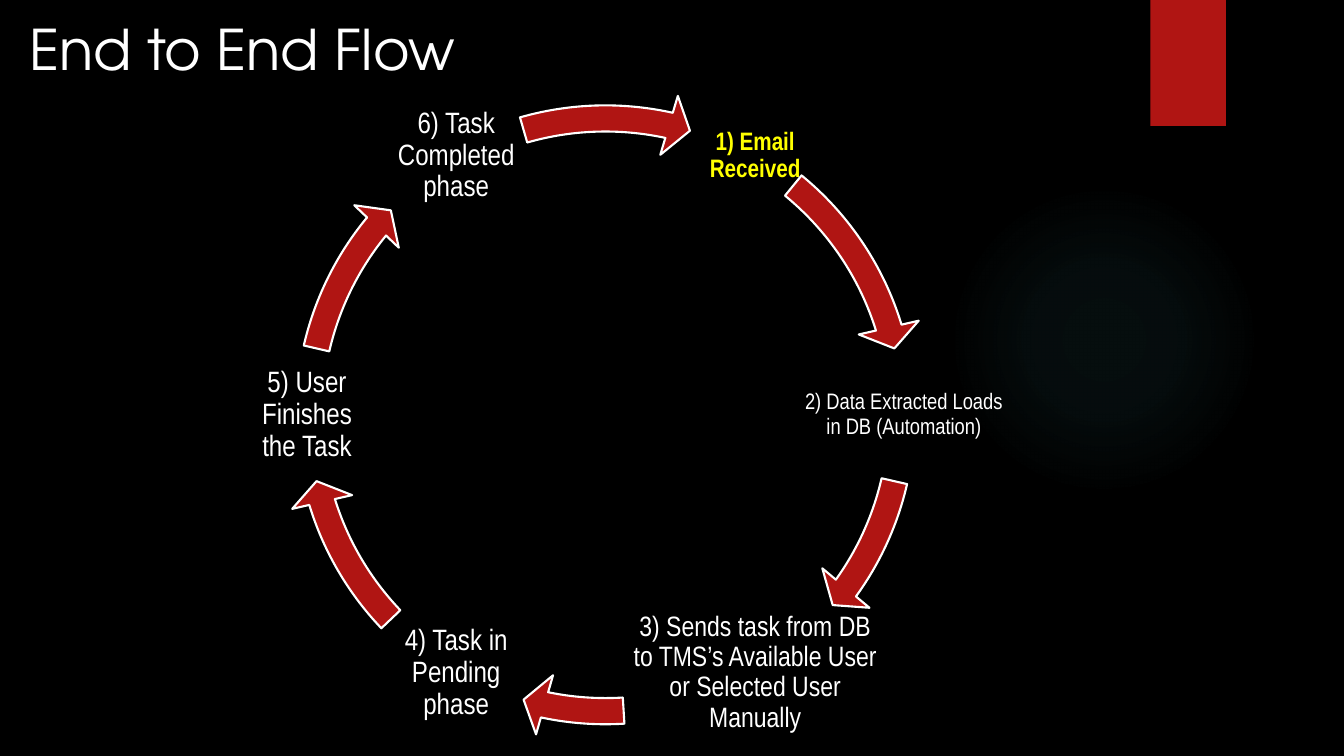
from lxml import etree
from pptx import Presentation
from pptx.dml.color import RGBColor
from pptx.enum.shapes import MSO_SHAPE
from pptx.enum.text import MSO_ANCHOR, MSO_AUTO_SIZE, PP_ALIGN
from pptx.util import Inches, Pt

BLACK = RGBColor(0x00, 0x00, 0x00)
WHITE = RGBColor(0xFF, 0xFF, 0xFF)
YELLOW = RGBColor(0xFF, 0xFF, 0x00)
RED = RGBColor(0xB0, 0x15, 0x13)
OVAL, RECT, ARROW = MSO_SHAPE.OVAL, MSO_SHAPE.RECTANGLE, MSO_SHAPE.CIRCULAR_ARROW
TOP, MIDDLE = MSO_ANCHOR.TOP, MSO_ANCHOR.MIDDLE
LEFT, CENTER = PP_ALIGN.LEFT, PP_ALIGN.CENTER
NO_AUTOFIT = MSO_AUTO_SIZE.NONE
A = "http://schemas.openxmlformats.org/drawingml/2006/main"
GLOW_STOPS = [(0, 7), (36, 6), (69, 0)]


def add_plain_shape(kind, left, top, width, height):
    sp = s.shapes.add_shape(kind, Inches(left), Inches(top), Inches(width), Inches(height))
    sp.shadow.inherit = False
    sp.fill.solid()
    sp.fill.fore_color.rgb = RED
    sp.line.fill.background()
    return sp


def write_text(tf, text, size, font, color, align, anchor):
    tf.word_wrap = True
    tf.auto_size = NO_AUTOFIT
    tf.vertical_anchor = anchor
    p = tf.paragraphs[0]
    p.alignment = align
    r = p.add_run()
    r.text = text
    r.font.size = Pt(size)
    r.font.name = font
    r.font.color.rgb = color
    return p, r


prs = Presentation()
prs.slide_width, prs.slide_height = Inches(13.33), Inches(7.5)
s = prs.slides.add_slide(prs.slide_layouts[5])
s.background.fill.solid()
s.background.fill.fore_color.rgb = BLACK

glow = add_plain_shape(OVAL, 9.41, 1.83, 3.08, 3.08)
glow.fill.gradient()
grad = glow._element.spPr.find(f"{{{A}}}gradFill")
for child in list(grad):
    grad.remove(child)
stops = etree.SubElement(grad, f"{{{A}}}gsLst")
for position, opacity in GLOW_STOPS:
    stop = etree.SubElement(stops, f"{{{A}}}gs", pos=str(position * 1000))
    color = etree.SubElement(stop, f"{{{A}}}srgbClr", val="50B9C1")
    etree.SubElement(color, f"{{{A}}}alpha", val=str(opacity * 1000))
radial = etree.SubElement(grad, f"{{{A}}}path", path="circle")
etree.SubElement(radial, f"{{{A}}}fillToRect", l="50000", t="50000", r="50000", b="50000")

add_plain_shape(RECT, 11.41, 0, 0.75, 1.25)

title = s.shapes.title
title.left, title.top = Inches(0.19), Inches(0.09)
title.width, title.height = Inches(10.51), Inches(0.98)
p, r = write_text(title.text_frame, "End to End Flow", 40, "TeX Gyre Adventor", WHITE, LEFT, TOP)
p.space_before = Pt(10)

steps = [
    ("1) Email Received", 6.64, 1.27, 1.7, 0.55, 18, 205.734, 185.595),
    ("2) Data Extracted Loads in DB (Automation)", 7.93, 3.45, 2.07, 1.33, 16, 21.467, 7.764),
    ("3) Sends task from DB to TMS’s Available User or Selected User Manually",
     6.19, 6.01, 2.6, 1.33, 20, 61.113, 51.89),
    ("4) Task in Pending phase", 3.86, 6.01, 1.33, 1.33, 21, 97.734, 81.828),
    ("5) User Finishes the Task", 2.38, 3.45, 1.33, 1.33, 21, 131.67, 115.764),
    ("6) Task Completed phase", 3.86, 0.88, 1.33, 1.33, 21, 169.437, 152.385),
]
for number, (text, left, top, width, height, size, end, start) in enumerate(steps, 1):
    box = s.shapes.add_textbox(Inches(left), Inches(top), Inches(width), Inches(height))
    tf = box.text_frame
    tf.margin_left = tf.margin_right = tf.margin_top = tf.margin_bottom = Inches(0.03)
    color = YELLOW if number == 1 else WHITE
    p, r = write_text(tf, text, size, "Arial Narrow", color, CENTER, MIDDLE)
    p.line_spacing = 0.9
    r.font.bold = number == 1

    arrow = add_plain_shape(ARROW, 2.76, 0.87, 6.49, 6.49)
    arrow.line.color.rgb = WHITE
    arrow.line.width = Pt(1.5)
    for i, value in enumerate([0.04, 2.502, end, start, 0.047]):
        arrow.adjustments[i] = value

prs.save("out.pptx")
